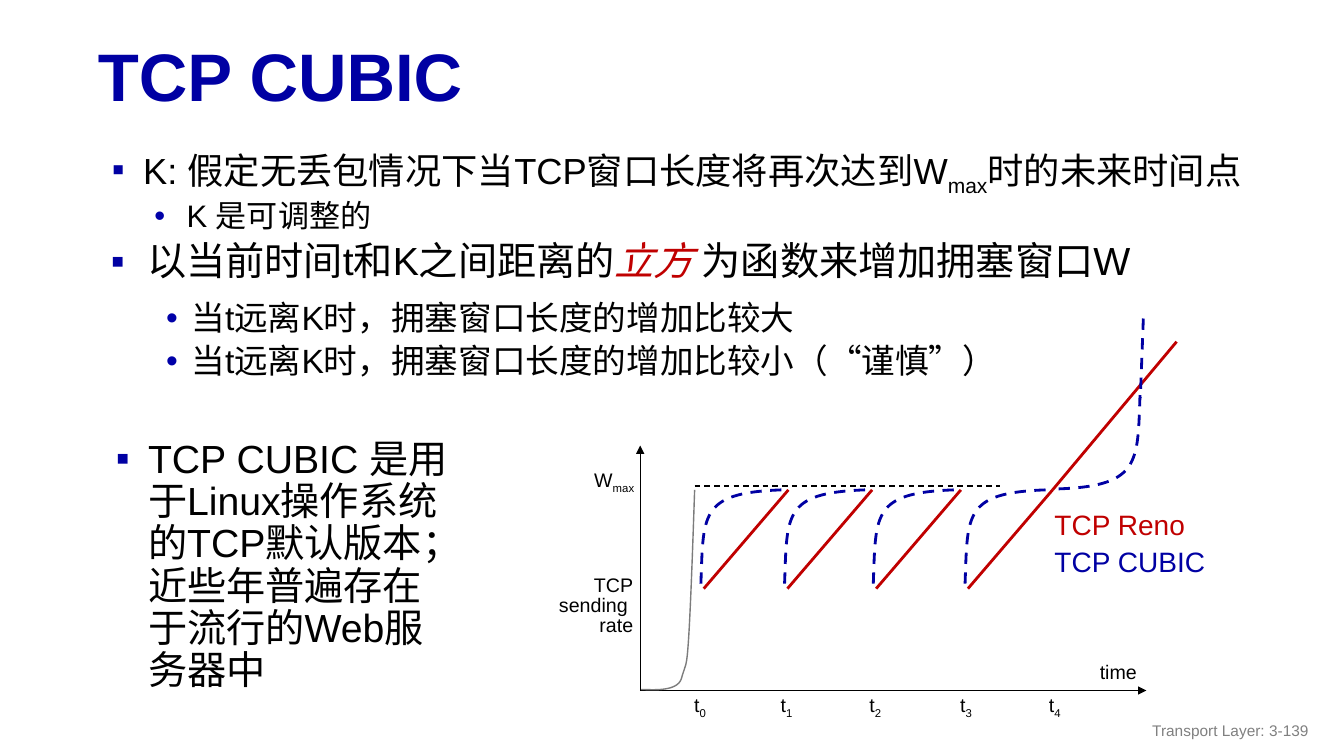
from dataclasses import dataclass
from lxml import etree
from pptx import Presentation
from pptx.dml.color import RGBColor
from pptx.enum.dml import MSO_LINE
from pptx.enum.shapes import MSO_CONNECTOR
from pptx.enum.text import MSO_ANCHOR, MSO_AUTO_SIZE, PP_ALIGN
from pptx.oxml.ns import qn
from pptx.util import Inches, Pt

LEFT, RIGHT = PP_ALIGN.LEFT, PP_ALIGN.RIGHT
TOP, MIDDLE = MSO_ANCHOR.TOP, MSO_ANCHOR.MIDDLE
FIT, FIXED = MSO_AUTO_SIZE.SHAPE_TO_FIT_TEXT, MSO_AUTO_SIZE.NONE
STRAIGHT, DASH = MSO_CONNECTOR.STRAIGHT, MSO_LINE.DASH


@dataclass(frozen=True)
class Theme:
    font: str = "Arial"
    navy: str = "0000A3"
    blue: str = "0000A8"
    red: str = "C00000"
    black: str = "000000"
    gray: str = "7C7C7C"
    pale: str = "808080"
    title: float = 48
    large: float = 28
    lead: float = 25.9
    point: float = 24
    sub: float = 22.2
    legend: float = 20
    label: float = 14
    foot: float = 11


T = Theme()
SQUARE, DOT = ("▪", T.navy), ("•", T.blue)

TITLE = "TCP CUBIC"
LEAD = [
    dict(runs=["K: 假定无丢包情况下当TCP窗口长度将再次达到W", ("max", "sub"), "时的未来时间点"],
         size=T.lead, bullet=SQUARE, indent=(0.45, -0.31)),
    dict(runs=["K 是可调整的"], size=T.sub, bullet=DOT, indent=(0.88, -0.32), before=5, level=1),
]
CUBE = [
    dict(runs=["以当前时间t和K之间距离的", ("立方 ", "accent"), "为函数来增加拥塞窗口W"],
         size=T.large, bullet=SQUARE, indent=(0.5, -0.36)),
]
POINTS = [
    dict(runs=[text], size=T.point, bullet=DOT, indent=(0.76, -0.25), before=gap, level=1)
    for text, gap in (("当t远离K时，拥塞窗口长度的增加比较大", 0),
                      ("当t远离K时，拥塞窗口长度的增加比较小（“谨慎”）", 5))
]
USAGE = [
    dict(runs=["TCP CUBIC 是用于Linux操作系统的TCP默认版本；近些年普遍存在于流行的Web服务器中"],
         size=T.large, bullet=SQUARE, indent=(0.5, -0.32)),
]
RATE = [dict(runs=[word], size=T.label, align=RIGHT, lead=0.85) for word in ("TCP", "sending ", "rate")]
LEGEND = [
    dict(runs=["TCP Reno"], size=T.legend, color=T.red, lead=0.85),
    dict(runs=["TCP CUBIC"], size=T.legend, color=T.navy, lead=0.85, before=6),
]
PEAK = [dict(runs=["W", ("max", "sub")], size=T.label, align=RIGHT, lead=0.85)]
TIME = [dict(runs=["time"], size=T.label, lead=1)]
FOOT = [dict(runs=["Transport Layer: 3-139"], size=T.foot, color=T.pale, align=RIGHT, lead=1)]
TICKS = [("0", 6.76, 0.34), ("1 ", 7.62, 0.37), ("2 ", 8.5, 0.37), ("3 ", 9.4, 0.37), ("4 ", 10.28, 0.37)]

ORIGIN = (6.35, 6.85)
CREST, DROP = 4.86, 0.98
CRESTS = [7.82, 8.65, 9.53, 10.44]
START = [
    (6.89, 4.86), (6.87, 5.46), (6.85, 6.03), (6.83, 6.34),
    (6.81, 6.65), (6.8, 6.58), (6.76, 6.73),
    (6.72, 6.87), (6.45, 6.84), (6.36, 6.84),
]
RISE = [(10.5, 4.85), (11.34, 4.82), (11.28, 4.57), (11.31, 3.84)]


def write(frame, paras):
    for i, item in enumerate(paras):
        para = frame.paragraphs[0] if i == 0 else frame.add_paragraph()
        para.level = item.get("level", 0)
        para.alignment = item.get("align", LEFT)
        para.line_spacing = item.get("lead", 0.9)
        para.space_before = Pt(item.get("before", 0))
        if "bullet" in item:
            mark, tint = item["bullet"]
            left, hang = item["indent"]
            props = para._p.get_or_add_pPr()
            props.set("marL", str(Inches(left)))
            props.set("indent", str(Inches(hang)))
            fill = etree.SubElement(props, qn("a:buClr"))
            etree.SubElement(fill, qn("a:srgbClr")).set("val", tint)
            etree.SubElement(props, qn("a:buFont")).set("typeface", T.font)
            etree.SubElement(props, qn("a:buChar")).set("char", mark)
        for part in item["runs"]:
            text, role = (part, "") if isinstance(part, str) else part
            run = para.add_run()
            run.text = text
            font = run.font
            font.name, font.size = T.font, Pt(item["size"])
            font.bold = item.get("bold", False)
            font.italic = role == "accent"
            tint = T.red if role == "accent" else item.get("color", T.black)
            font.color.rgb = RGBColor.from_string(tint)
            if role == "sub":
                font._element.set("baseline", "-25000")


def place(shape, box, paras, anchor=TOP):
    shape.left, shape.top, shape.width, shape.height = map(Inches, box)
    frame = shape.text_frame
    frame.word_wrap, frame.auto_size = True, FIXED
    frame.vertical_anchor = anchor
    write(frame, paras)


def add_text(slide, box, paras, anchor=TOP):
    place(slide.shapes.add_textbox(*map(Inches, box)), box, paras, anchor)


def add_label(slide, box, paras):
    frame = slide.shapes.add_textbox(*map(Inches, box)).text_frame
    frame.word_wrap, frame.auto_size = False, FIT
    write(frame, paras)


def stroke(shape, color, width, dash):
    shape.line.color.rgb = RGBColor.from_string(color)
    shape.line.width = Pt(width)
    if dash:
        shape.line.dash_style = DASH


def add_line(slide, start, end, color, width=2, dash=False, arrow=False):
    line = slide.shapes.add_connector(STRAIGHT, *map(Inches, start + end))
    stroke(line, color, width, dash)
    if arrow:
        etree.SubElement(line.line._get_or_add_ln(), qn("a:tailEnd")).set("type", "triangle")
    etree.SubElement(line._element.spPr, qn("a:effectLst"))


def add_curve(slide, knots, color, width=2, dash=False):
    dots = [(Inches(x), Inches(y)) for x, y in knots]
    form = slide.shapes.build_freeform(*dots[0])
    form.add_line_segments(dots[3::3], close=False)
    curve = form.convert_to_shape()
    for i, leg in enumerate(list(curve._element.iter(qn("a:lnTo")))):
        bend = etree.Element(qn("a:cubicBezTo"))
        for x, y in dots[3 * i + 1:3 * i + 4]:
            point = etree.SubElement(bend, qn("a:pt"))
            point.set("x", str(x - curve.left))
            point.set("y", str(y - curve.top))
        leg.getparent().replace(leg, bend)
    curve.shadow.inherit = False
    curve.fill.background()
    stroke(curve, color, width, dash)


def draw_chart(slide):
    add_label(slide, (5.44, 5.67, 0.94, 0.97), RATE)
    for end in ((11.37, ORIGIN[1]), (ORIGIN[0], 4.42)):
        add_line(slide, ORIGIN, end, T.black, 1, arrow=True)
    add_curve(slide, START, T.gray, 1)
    add_line(slide, (6.89, 4.82), (9.92, 4.82), T.black, 1, dash=True)
    for x in CRESTS:
        add_line(slide, (x, CREST), (x - 0.84, CREST + DROP), T.red)
        arc = [(x - 0.07, CREST), (x - 0.9, CREST + 0.03), (x - 0.84, CREST + 0.25), (x - 0.87, CREST + DROP)]
        add_curve(slide, arc, T.navy, dash=True)
    add_line(slide, (CRESTS[-1], CREST), (11.67, 3.39), T.red)
    add_curve(slide, RISE, T.navy, dash=True)
    add_line(slide, (11.34, 3.16), (11.31, 3.95), T.navy, dash=True)
    add_label(slide, (10.81, 6.5, 0.57, 0.34), TIME)
    add_label(slide, (10.36, 5.04, 1.71, 1.03), LEGEND)
    add_label(slide, (5.76, 4.61, 0.63, 0.3), PEAK)
    for mark, x, width in TICKS:
        tick = dict(runs=["t", (mark, "sub")], size=T.label, align=RIGHT, lead=0.85)
        add_label(slide, (x, 6.84, width, 0.3), [tick])


def main():
    deck = Presentation()
    deck.slide_width, deck.slide_height = Inches(13.33), Inches(7.5)
    slide = deck.slides.add_slide(deck.slide_layouts[1])
    head = dict(runs=[TITLE], size=T.title, color=T.navy, bold=True)
    place(slide.shapes.title, (0.87, 0.3, 12.46, 0.98), [head], MIDDLE)
    place(slide.placeholders[1], (0.87, 1.43, 12.21, 1.04), LEAD)
    add_text(slide, (1.04, 2.94, 11.25, 1.09), POINTS)
    draw_chart(slide)
    add_text(slide, (0.87, 4.31, 3.78, 2.67), USAGE)
    add_text(slide, (0.86, 2.35, 12.21, 2.21), CUBE)
    add_text(slide, (10.08, 7.05, 3, 0.4), FOOT, MIDDLE)
    deck.save("out.pptx")


if __name__ == "__main__":
    main()
